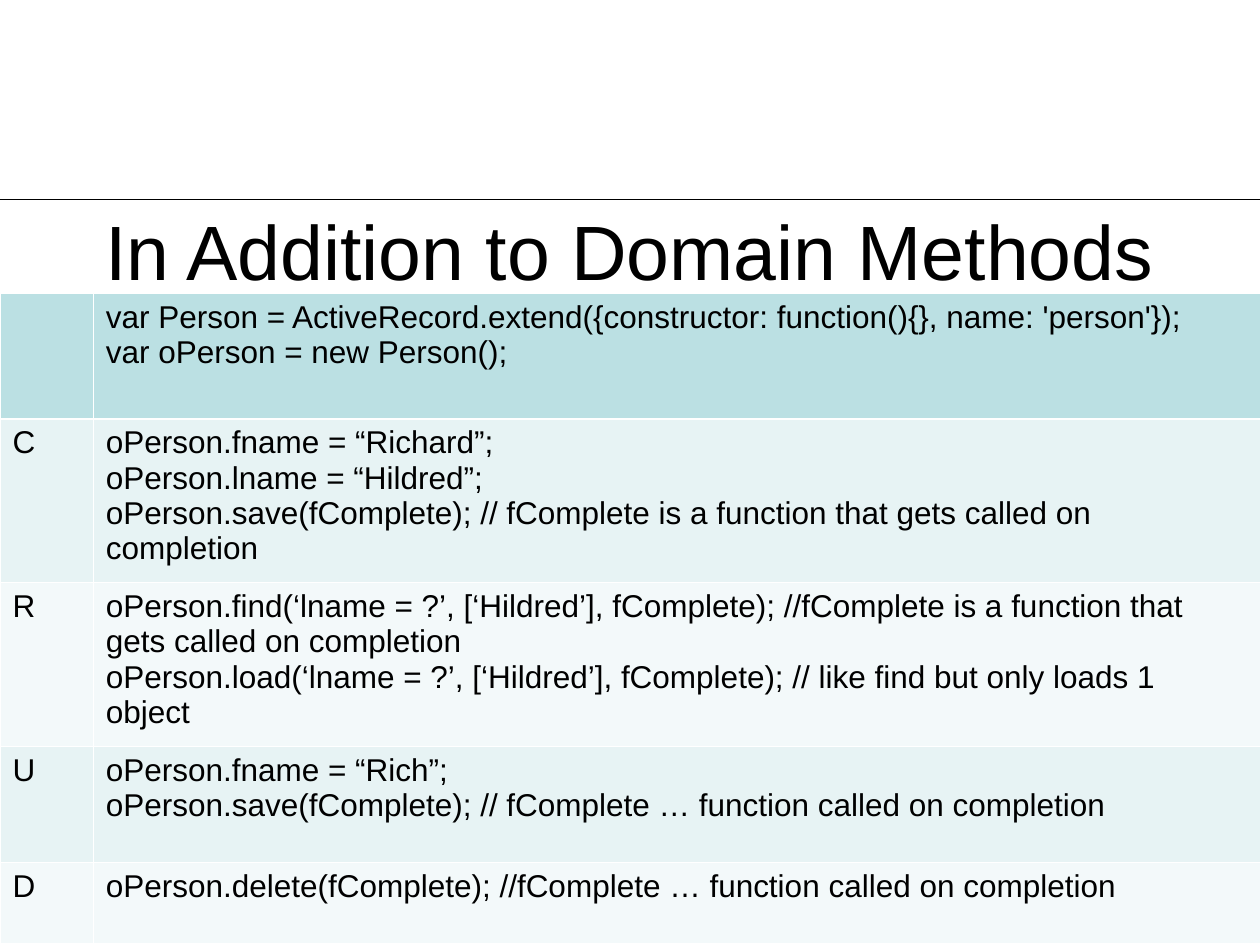
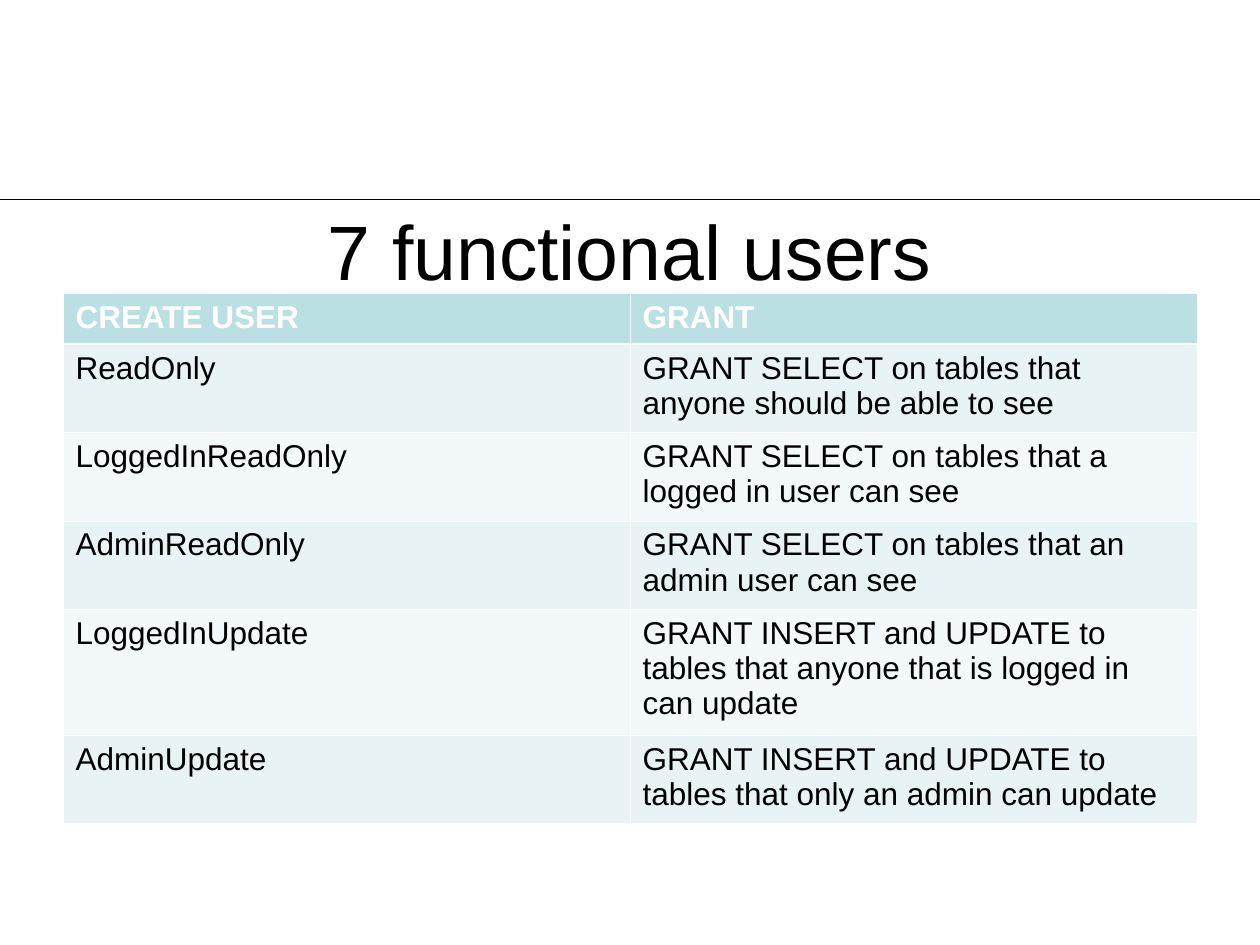
from dataclasses import dataclass

from lxml.etree import SubElement
from pptx import Presentation
from pptx.dml.color import RGBColor
from pptx.enum.shapes import MSO_CONNECTOR
from pptx.enum.text import MSO_ANCHOR, MSO_AUTO_SIZE, PP_ALIGN
from pptx.oxml.ns import qn
from pptx.util import Cm, Pt


@dataclass(frozen=True)
class Theme:
    """Colours, font and type sizes of the deck."""
    font: str = "Arial"
    ink: str = "000000"
    paper: str = "FFFFFF"
    head: str = "BBE0E3"
    bands: tuple = ("E7F3F4", "F3F9FA")
    title: int = 44
    body: int = 18
    rule: float = 0.25
    thin: float = 0.45
    thick: float = 1.47


def write(frame, text, *, font, size, color, bold=False, align=PP_ALIGN.LEFT):
    """Fill a text frame with one formatted paragraph per line."""
    frame.text = text
    for para in frame.paragraphs:
        para.alignment = align
        for run in para.runs:
            run.font.name = font
            run.font.size = Pt(size)
            run.font.bold = bold
            run.font.color.rgb = RGBColor.from_string(color)


class Deck:
    """Holds the theme and the current slide."""

    def __init__(self, theme):
        """Start a deck of 4:3 slides."""
        self.theme = theme
        self.show = Presentation()
        self.show.slide_width, self.show.slide_height = Cm(25.4), Cm(19.05)

    def page(self, title):
        """Add a slide with its rule and title."""
        self.slide = self.show.slides.add_slide(self.show.slide_layouts[5])
        self.rule(4.01)
        self.title(title)

    def rule(self, top):
        """Draw a fine line across the slide."""
        line = self.slide.shapes.add_connector(
            MSO_CONNECTOR.STRAIGHT, 0, Cm(top), self.show.slide_width, Cm(top))
        line.line.width = Pt(self.theme.rule)
        line.line.color.rgb = RGBColor.from_string(self.theme.ink)
        SubElement(line._element.spPr, qn("a:effectLst"))

    def title(self, text):
        """Place and format the title placeholder."""
        box = self.slide.shapes.title
        box.left, box.top, box.width, box.height = map(Cm, (1.27, 4.24, 22.86, 1.57))
        frame = box.text_frame
        frame.auto_size = MSO_AUTO_SIZE.NONE
        frame.word_wrap = True
        frame.vertical_anchor = MSO_ANCHOR.MIDDLE
        frame.margin_left = frame.margin_right = 0
        frame.margin_top = frame.margin_bottom = 0
        write(frame, text, font=self.theme.font, size=self.theme.title,
              color=self.theme.ink, align=PP_ALIGN.CENTER)

    def edge(self, cell, side, width):
        """Draw one border of a cell."""
        line = SubElement(cell._tc.get_or_add_tcPr(), qn(f"a:ln{side}"),
                          w=str(Pt(width)))
        fill = SubElement(line, qn("a:solidFill"))
        SubElement(fill, qn("a:srgbClr"), val=self.theme.paper)

    def cell(self, cell, text, row, color, bold):
        """Format one cell by its row."""
        look = self.theme
        widths = {"L": look.thin, "R": look.thin,
                  "T": look.thick if row == 1 else look.thin,
                  "B": look.thick if row == 0 else look.thin}
        for side, width in widths.items():
            self.edge(cell, side, width)
        cell.fill.solid()
        tint = look.bands[(row - 1) % 2] if row else look.head
        cell.fill.fore_color.rgb = RGBColor.from_string(tint)
        if text:
            write(cell.text_frame, text, font=look.font, size=look.body,
                  color=color, bold=bold)

    def table(self, left, cols, rows, data, head, bold):
        """Add a banded table with a tinted head row."""
        grid = self.slide.shapes.add_table(
            len(rows), len(cols), Cm(left), Cm(5.92),
            Cm(sum(cols)), Cm(sum(rows))).table
        for col, width in zip(grid.columns, cols):
            col.width = Cm(width)
        for row, height in enumerate(rows):
            grid.rows[row].height = Cm(height)
            for col, text in enumerate(data[row]):
                self.cell(grid.cell(row, col), text, row,
                          self.theme.ink if row else head, bold and row == 0)


CRUD = [
    ("", "var Person = ActiveRecord.extend({constructor: function(){}, name: 'person'});\n"
         "var oPerson = new Person();"),
    ("C", "oPerson.fname = “Richard”;\n"
          "oPerson.lname = “Hildred”;\n"
          "oPerson.save(fComplete); // fComplete is a function that gets called on completion"),
    ("R", "oPerson.find(‘lname = ?’, [‘Hildred’], fComplete); "
          "//fComplete is a function that gets called on completion\n"
          "oPerson.load(‘lname = ?’, [‘Hildred’], fComplete); "
          "// like find but only loads 1 object"),
    ("U", "oPerson.fname = “Rich”;\n"
          "oPerson.save(fComplete); // fComplete … function called on completion"),
    ("D", "oPerson.delete(fComplete); //fComplete … function called on completion"),
]

USERS = [
    ("CREATE USER", "GRANT"),
    ("ReadOnly", "GRANT SELECT on tables that anyone should be able to see"),
    ("LoggedInReadOnly", "GRANT SELECT on tables that a logged in user can see"),
    ("AdminReadOnly", "GRANT SELECT on tables that an admin user can see"),
    ("LoggedInUpdate",
     "GRANT INSERT and UPDATE to tables that anyone that is logged in can update"),
    ("AdminUpdate", "GRANT INSERT and UPDATE to tables that only an admin can update"),
]


def main():
    """Build both slides and save the deck."""
    theme = Theme()
    deck = Deck(theme)
    deck.page("In Addition to Domain Methods")
    deck.table(0, (1.88, 23.52), (2.53, 3.3, 3.3, 2.34, 1.63), CRUD,
               head=theme.ink, bold=False)
    deck.page("7 functional users")
    deck.table(1.27, (11.43, 11.43), (1.02, 1.78, 1.78, 1.78, 2.54, 1.78), USERS,
               head=theme.paper, bold=True)
    deck.show.save("out.pptx")


if __name__ == "__main__":
    main()
